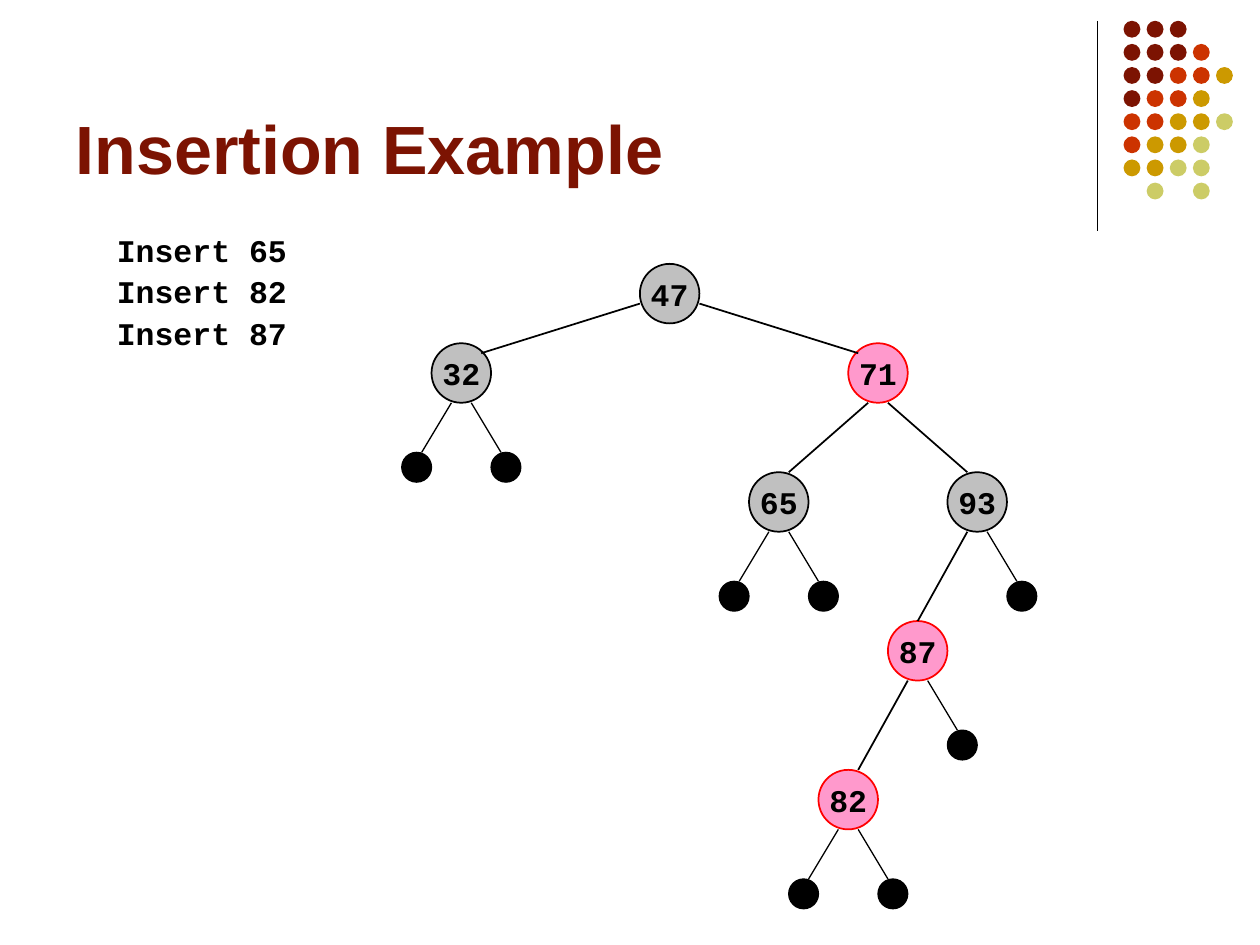
from dataclasses import dataclass

from lxml import etree
from pptx import Presentation
from pptx import util as u
from pptx.dml.color import RGBColor
from pptx.enum import shapes, text
from pptx.oxml.ns import qn


@dataclass(frozen=True)
class Theme:
    ink: str = "000000"
    title: str = "7C1302"
    dots: str = "7C1302 CC3300 CC9900 CCCC66"
    gray: tuple = ("C0C0C0", "000000")  # fill, outline
    pink: tuple = ("FF99CC", "FF0000")
    title_font: str = "Arial"
    code_font: str = "Courier New"
    title_size: float = 39
    code_size: float = 18
    thick: float = 1
    thin: float = 0.75


theme = Theme()
deck = Presentation()
deck.slide_width, deck.slide_height = u.Inches(10), u.Inches(7.5)
page = deck.slides.add_slide(deck.slide_layouts[1])

# Square grid: 127 columns across the slide
UNIT = deck.slide_width / 127


def circle(x, y, size, fill, outline=None, weight=theme.thin):
    """Draw a circle centred on grid point (x, y)."""
    left, top = int((x - size / 2) * UNIT), int((y - size / 2) * UNIT)
    shape = page.shapes.add_shape(shapes.MSO_SHAPE.OVAL, left, top,
                                  int(size * UNIT), int(size * UNIT))
    shape.shadow.inherit = False
    shape.fill.solid()
    shape.fill.fore_color.rgb = RGBColor.from_string(fill)
    if outline:
        shape.line.color.rgb = RGBColor.from_string(outline)
        shape.line.width = u.Pt(weight)
    else:
        shape.line.fill.background()
    return shape


def line(x1, y1, x2, y2, weight=theme.thin):
    """Draw a straight line between two grid points."""
    ends = [int(value * UNIT) for value in (x1, y1, x2, y2)]
    connector = page.shapes.add_connector(shapes.MSO_CONNECTOR.STRAIGHT, *ends)
    connector.line.color.rgb = RGBColor.from_string(theme.ink)
    connector.line.width = u.Pt(weight)
    etree.SubElement(connector._element.spPr, qn("a:effectLst"))


# Corner ornament: each digit picks a dot colour
line(110.6, 2.1, 110.6, 23.3)
dot_rows = ["000", "0001", "00112", "0112", "11223", "1223", "2233", " 3 3"]
dot_colors = theme.dots.split()
for row, marks in enumerate(dot_rows):
    for column, mark in enumerate(marks):
        if mark != " ":
            circle(114.1 + 2.33 * column, 2.95 + 2.33 * row, 1.7,
                   dot_colors[int(mark)])

# Title
title = page.shapes.title
title.left, title.top = int(6.35 * UNIT), int(1.65 * UNIT)
title.width, title.height = int(104.8 * UNIT), int(18 * UNIT)
title.text_frame.text = "Insertion Example"
title.text_frame.auto_size = text.MSO_AUTO_SIZE.NONE
title.text_frame.vertical_anchor = text.MSO_ANCHOR.BOTTOM
heading = title.text_frame.paragraphs[0]
heading.alignment = text.PP_ALIGN.LEFT
heading.font.name = theme.title_font
heading.font.size = u.Pt(theme.title_size)
heading.font.bold = True
heading.font.color.rgb = RGBColor.from_string(theme.title)

# List of insertions
steps = page.placeholders[1]
steps.left, steps.top = int(10.5 * UNIT), int(22.6 * UNIT)
steps.width, steps.height = int(33 * UNIT), int(13.1 * UNIT)
steps.text_frame.text = "\n".join(f"Insert {key}" for key in (65, 82, 87))
steps.text_frame.auto_size = text.MSO_AUTO_SIZE.NONE
for index, para in enumerate(steps.text_frame.paragraphs):
    properties = para._p.get_or_add_pPr()
    properties.set("marL", "0")
    properties.set("indent", "0")
    etree.SubElement(properties, qn("a:buNone"))
    para.space_before = u.Pt(2.3 if index else 0)
    para.font.name = theme.code_font
    para.font.size = u.Pt(theme.code_size)
    para.font.bold = True
    para.font.color.rgb = RGBColor.from_string(theme.ink)

# Tree: key -> centre column, centre row, colours, sides with an empty leaf
nodes = {
    47: (67.5, 29.6, theme.gray, ()),
    32: (46.5, 37.6, theme.gray, (-1, 1)),
    71: (88.5, 37.6, theme.pink, ()),
    65: (78.5, 50.6, theme.gray, (-1, 1)),
    93: (98.5, 50.6, theme.gray, (1,)),
    87: (92.5, 65.6, theme.pink, (1,)),
    82: (85.5, 80.6, theme.pink, (-1, 1)),
}
for key, (x, y, (fill, outline), leaf_sides) in nodes.items():
    node = circle(x, y, 6, fill, outline, theme.thick)
    frame = node.text_frame
    frame.margin_left = frame.margin_right = 0
    frame.margin_top = frame.margin_bottom = 0
    frame.word_wrap = False
    frame.vertical_anchor = text.MSO_ANCHOR.MIDDLE
    frame.text = str(key)
    label = frame.paragraphs[0]
    label.alignment = text.PP_ALIGN.CENTER
    label.font.name = theme.code_font
    label.font.size = u.Pt(theme.code_size)
    label.font.bold = True
    label.font.color.rgb = RGBColor.from_string(theme.ink)
    for side in leaf_sides:
        line(x + side, y + 3, x + 4 * side, y + 8)
        circle(x + 4.5 * side, y + 9.5, 3, theme.ink, theme.ink)

# Branches: parent, child, and offsets from their centres
branches = [
    (47, 32, (-3, 1), (2, -2)),
    (47, 71, (3, 1), (-2, -2)),
    (71, 65, (-1, 3), (1, -3)),
    (71, 93, (1, 3), (-1, -3)),
    (93, 87, (-1, 3), (0, -3)),
    (87, 82, (-1, 3), (1, -3)),
]
for parent, child, (start_x, start_y), (end_x, end_y) in branches:
    line(nodes[parent][0] + start_x, nodes[parent][1] + start_y,
         nodes[child][0] + end_x, nodes[child][1] + end_y, theme.thick)

deck.save("out.pptx")
